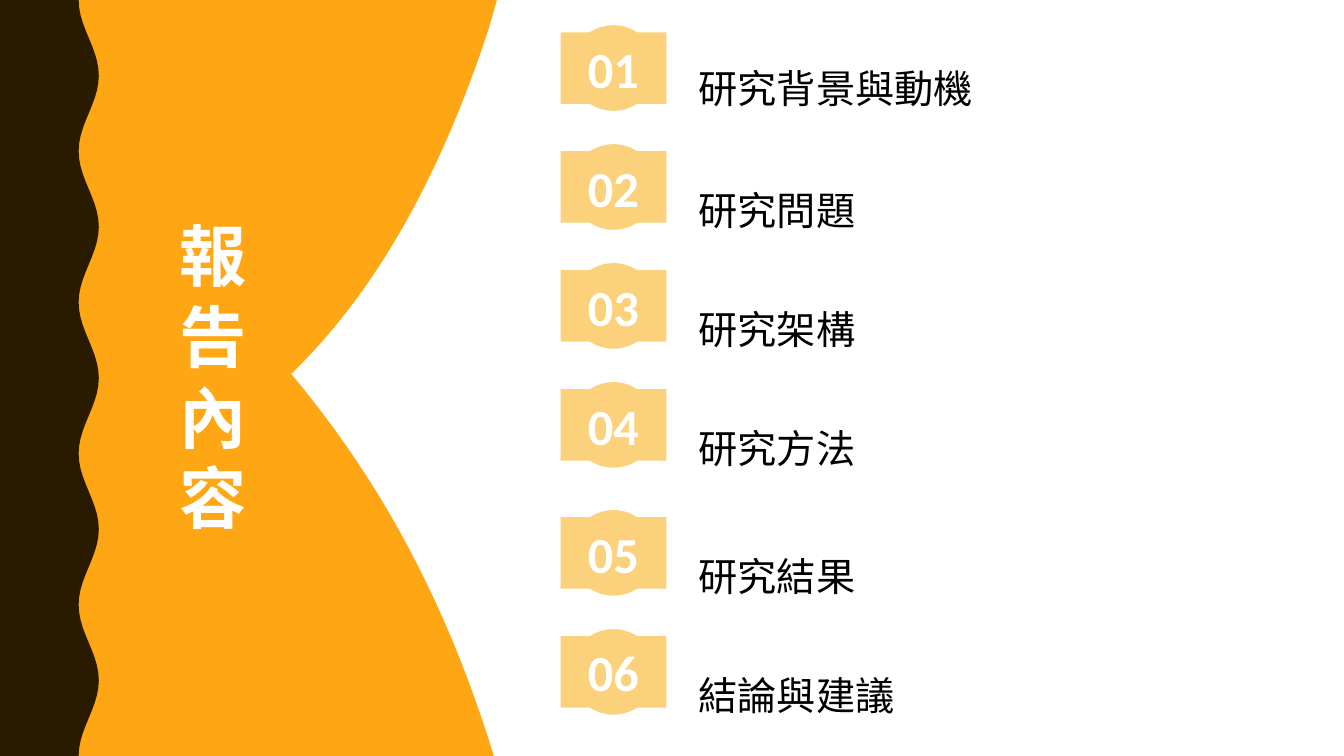
from collections import namedtuple
from dataclasses import dataclass
from math import cos, pi

from pptx import Presentation
from pptx.dml.color import RGBColor
from pptx.enum.shapes import MSO_SHAPE
from pptx.enum.text import MSO_ANCHOR, MSO_AUTO_SIZE, PP_ALIGN
from pptx.util import Inches, Pt

OVAL, RECT = MSO_SHAPE.OVAL, MSO_SHAPE.RECTANGLE
TOP, MIDDLE = MSO_ANCHOR.TOP, MSO_ANCHOR.MIDDLE
LEFT, CENTER = PP_ALIGN.LEFT, PP_ALIGN.CENTER
GROW = MSO_AUTO_SIZE.SHAPE_TO_FIT_TEXT
CELL = Inches(1)
COLS, ROWS = 13.33, 7.5
TITLE = "報告內容"
TOPICS = ["研究背景與動機", "研究問題", "研究架構", "研究方法", "研究結果", "結論與建議"]


@dataclass(frozen=True)
class Theme:
    orange: str = "FFA615"
    brown: str = "2A1A00"
    sand: str = "FBD17B"
    white: str = "FFFFFF"
    black: str = "000000"
    title: int = 48
    number: int = 36
    topic: int = 28
    body: str = "Arial"
    digit: str = "Calibri"


THEME = Theme()


class Box(namedtuple("Box", "x y w h")):
    def inner(self, x, y, w, h):
        return Box(self.x + x, self.y + y, w, h)

    def emu(self):
        return [round(side * CELL) for side in self]


def paint(shape, color):
    shape.shadow.inherit = False
    shape.fill.solid()
    shape.fill.fore_color.rgb = RGBColor.from_string(color)
    shape.line.fill.background()


def write(shape, lines, size, color, face, bold=False, align=LEFT, anchor=TOP, space=1, side=0.12):
    frame = shape.text_frame
    frame.text = "\n".join(lines)
    frame.word_wrap = True
    frame.auto_size = GROW
    frame.vertical_anchor = anchor
    frame.margin_left = frame.margin_right = Inches(side)
    frame.margin_top = frame.margin_bottom = Inches(0.05)
    for para in frame.paragraphs:
        para.alignment = align
        para.line_spacing = space
        para.space_before = Pt(0)
        para.font.size = Pt(size)
        para.font.bold = bold
        para.font.name = face
        para.font.color.rgb = RGBColor.from_string(color)


def trace(slide, box, points, color):
    dots = [(round((box.x + x) * CELL), round((box.y + y) * CELL)) for x, y in points]
    pen = slide.shapes.build_freeform(*dots[0])
    pen.add_line_segments(dots[1:], close=True)
    paint(pen.convert_to_shape(), color)


def curve(start, pull, push, end, steps=40):
    points = []
    for step in range(steps + 1):
        t = step / steps
        u = 1 - t
        mix = (u ** 3, 3 * u * u * t, 3 * u * t * t, t ** 3)
        points.append(tuple(
            sum(m * p for m, p in zip(mix, axis))
            for axis in zip(start, pull, push, end)
        ))
    return points


def draw_wave(slide, box, count=5, swing=0.1, steps=100):
    middle = box.w - swing
    edge = [
        (middle - swing * cos(2 * pi * count * step / steps), box.h * step / steps)
        for step in range(steps + 1)
    ]
    trace(slide, box, [(0, 0), *edge, (0, box.h)], THEME.brown)


def draw_panel(slide, box):
    tip = (0, 3.71)
    lower = curve((1.95, 7.31), (1.5, 5.92), (0.88, 4.76), tip)
    upper = curve(tip, (0.85, 2.89), (1.49, 1.72), (1.96, 0.28))
    points = [(2.04, 0), (box.w, 0), (box.w, box.h), (2.01, box.h), *lower, *upper]
    trace(slide, box, points, THEME.white)


def draw_title(slide, box):
    title = slide.shapes.title
    title.left, title.top, title.width, title.height = box.emu()
    write(title, TITLE, THEME.title, THEME.white, THEME.body, bold=True, side=0.1)


def draw_topic(slide, box, number, topic):
    row = slide.shapes.add_group_shape().shapes
    drop = 0.11 if number == 1 else 0.14
    label = row.add_textbox(*box.inner(1.25, drop, 5.6, 0.72).emu())
    write(label, [topic], THEME.topic, THEME.black, THEME.body, space=1.5)
    paint(row.add_shape(OVAL, *box.inner(0.1, 0, 0.85, 0.85).emu()), THEME.sand)
    badge = row.add_shape(RECT, *box.inner(0, 0.07, 1.05, 0.71).emu())
    paint(badge, THEME.sand)
    write(badge, [f"{number:02}"], THEME.number, THEME.white, THEME.digit,
          bold=True, align=CENTER, anchor=MIDDLE)


def draw_list(slide, box, topics, first=1, pitch=1.18):
    for index, topic in enumerate(topics):
        draw_topic(slide, box.inner(0, index * pitch, box.w, 0.85), first + index, topic)


def draw_agenda(slide, box):
    back = slide.background.fill
    back.solid()
    back.fore_color.rgb = RGBColor.from_string(THEME.orange)
    draw_wave(slide, box.inner(0, 0, 0.98, box.h))
    draw_panel(slide, box.inner(2.89, 0, box.w - 2.89, box.h))
    draw_title(slide, box.inner(1.68, 2.08, 0.59, 3.33))
    draw_list(slide, box.inner(5.56, 0.25, 6.85, 4.4), TOPICS[:4])
    draw_list(slide, box.inner(5.56, 5.06, 6.85, 2.04), TOPICS[4:], first=5)


def main():
    deck = Presentation()
    deck.slide_width, deck.slide_height = Inches(COLS), Inches(ROWS)
    slide = deck.slides.add_slide(deck.slide_layouts[5])
    draw_agenda(slide, Box(0, 0, COLS, ROWS))
    deck.save("out.pptx")


if __name__ == "__main__":
    main()
